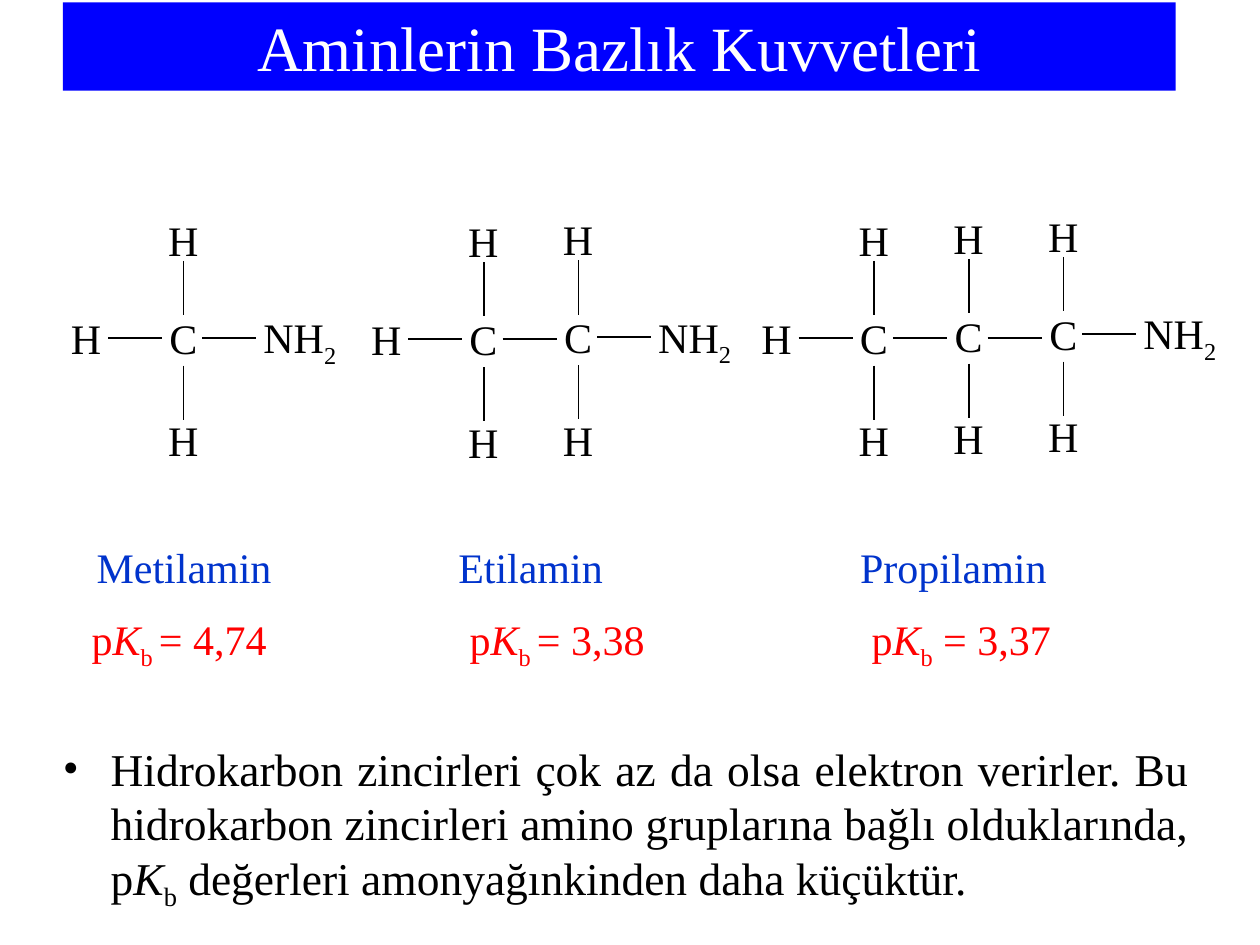
import pptx
import pptx.dml.color
import pptx.enum.shapes
import pptx.enum.text
import pptx.oxml.ns
import pptx.util
from lxml import etree

Cm = pptx.util.Cm
Pt = pptx.util.Pt
qn = pptx.oxml.ns.qn
ALIGN = pptx.enum.text.PP_ALIGN

FONT = "Times New Roman"
COLORS = {
    "banner": "0000FF",
    "title": "FFFFFF",
    "ink": "000000",
    "name": "0033CC",
    "pkb": "FF0101",
}

# Amine drawing, in cm
PITCH = 1.91        # between neighbouring carbons
RISE = 0.04         # each carbon sits slightly above the one before
BOND = 1.09
ATOM_W, ATOM_H = 1.12, 1.27


def rgb(key):
    return pptx.dml.color.RGBColor.from_string(COLORS[key])


def add_runs(p, runs, size, color):
    """Each run is (text, style); style is "", "i" (italic) or "sub"."""
    for text, style in runs:
        r = p.add_run()
        r.text = text
        r.font.name = FONT
        r.font.size = Pt(size)
        r.font.color.rgb = rgb(color)
        if style == "i":
            r.font.italic = True
        elif style == "sub":
            r.font._element.set("baseline", "-25000")


def add_text(slide, left, top, width, height, runs, size=24, color="ink", wrap=True):
    sp = slide.shapes.add_textbox(Cm(left), Cm(top), Cm(width), Cm(height))
    tf = sp.text_frame
    tf.word_wrap = wrap
    p = tf.paragraphs[0]
    add_runs(p, runs, size, color)
    return p


def add_tabs(p, stops):
    tabs = etree.SubElement(p._p.get_or_add_pPr(), qn("a:tabLst"))
    for stop in stops:
        etree.SubElement(tabs, qn("a:tab"), pos=str(int(Cm(stop))), algn="l")


def add_bond(slide, x, y, dx=0, dy=0):
    line = slide.shapes.add_connector(
        pptx.enum.shapes.MSO_CONNECTOR.STRAIGHT, Cm(x), Cm(y), Cm(x + dx), Cm(y + dy))
    line.line.color.rgb = rgb("ink")
    line.line.width = Pt(1)
    etree.SubElement(line._element.spPr, qn("a:effectLst"))


def add_atom(slide, symbol, x, y):
    """Place an atom label centred on (x, y)."""
    width = ATOM_W if symbol == "H" else 1.07
    add_text(slide, x - width / 2, y - ATOM_H / 2, width, ATOM_H,
             [(symbol, "")], wrap=False)


def add_title(slide, left, top, width, height, text):
    sp = slide.shapes.add_shape(pptx.enum.shapes.MSO_SHAPE.RECTANGLE,
                                Cm(left), Cm(top), Cm(width), Cm(height))
    sp.shadow.inherit = False
    sp.fill.solid()
    sp.fill.fore_color.rgb = rgb("banner")
    sp.line.fill.background()
    tf = sp.text_frame
    tf.word_wrap = True
    tf.vertical_anchor = pptx.enum.text.MSO_ANCHOR.MIDDLE
    p = tf.paragraphs[0]
    p.alignment = ALIGN.CENTER
    add_runs(p, [(text, "")], 36, "title")


def add_amine(slide, left, top, carbons):
    """Draw H-(CH2)n-NH2 from the top left corner of its box."""
    first, axis = left + 2.51, top + 2.62

    # Hydrogen at the start of the chain
    add_atom(slide, "H", first - 1.96, axis)
    add_bond(slide, first - 1.52, axis, dx=BOND)

    for i in range(carbons):
        x, y = first + i * PITCH, axis - i * RISE
        last = i == carbons - 1
        add_atom(slide, "C", x, y)
        add_atom(slide, "H", x, y - 1.98)
        add_atom(slide, "H", x, y + 2.06)
        add_bond(slide, x, y - 1.55, dy=BOND)
        add_bond(slide, x, y + 0.56, dy=BOND)
        add_bond(slide, x + 0.38, y if last else axis, dx=BOND)

    # Amino group at the end
    add_text(slide, x + 1.36, y - 0.65, 1.98, 1.42,
             [("NH", ""), ("2", "sub")], wrap=False)


def add_labels(slide, left, top):
    """Names of the amines, with their pKb values below."""
    p = add_text(slide, left + 0.1, top, 22.68, 1.27,
                 [("Metilamin\tEtilamin\tPropilamin", "")], color="name")
    add_tabs(p, [7.29, 15.39])

    p = add_text(slide, left, top + 1.45, 22.12, 1.42, [
        ("p", ""), ("K", "i"), ("b ", "sub"), ("= 4,74\tp", ""),
        ("K", "i"), ("b ", "sub"), ("= 3,38\tp", ""),
        ("K", "i"), ("b", "sub"), (" = 3,37", ""),
    ], color="pkb")
    add_tabs(p, [7.62, 15.72])


def add_bullet(slide, left, top, width, height, runs):
    p = add_text(slide, left, top, width, height, runs, size=26)
    p.alignment = ALIGN.JUSTIFY
    pPr = p._p.get_or_add_pPr()
    pPr.set("marL", str(int(Cm(0.96))))
    pPr.set("indent", str(int(Cm(-0.96))))
    clr = etree.SubElement(pPr, qn("a:buClr"))
    etree.SubElement(clr, qn("a:srgbClr"), val=COLORS["ink"])
    etree.SubElement(pPr, qn("a:buFont"), typeface=FONT)
    etree.SubElement(pPr, qn("a:buChar"), char="•")


def main():
    prs = pptx.Presentation()
    prs.slide_width, prs.slide_height = Cm(25.4), Cm(19.05)
    slide = prs.slides.add_slide(prs.slide_layouts[6])

    add_title(slide, 1.27, 0.05, 22.43, 1.78, "Aminlerin Bazlık Kuvvetleri")

    # Methyl-, ethyl- and propylamine
    for carbons, (left, top) in enumerate([(1.19, 4.19), (7.24, 4.22), (15.11, 4.19)], 1):
        add_amine(slide, left, top, carbons)

    add_labels(slide, 1.6, 10.8)

    add_bullet(slide, 1.02, 14.81, 23.22, 3.71, [
        ("Hidrokarbon zincirleri çok az da olsa elektron verirler. Bu hidrokarbon "
         "zincirleri amino gruplarına bağlı olduklarında, p", ""),
        ("K", "i"), ("b", "sub"),
        (" değerleri amonyağınkinden daha küçüktür.", ""),
    ])

    prs.save("out.pptx")


if __name__ == "__main__":
    main()
